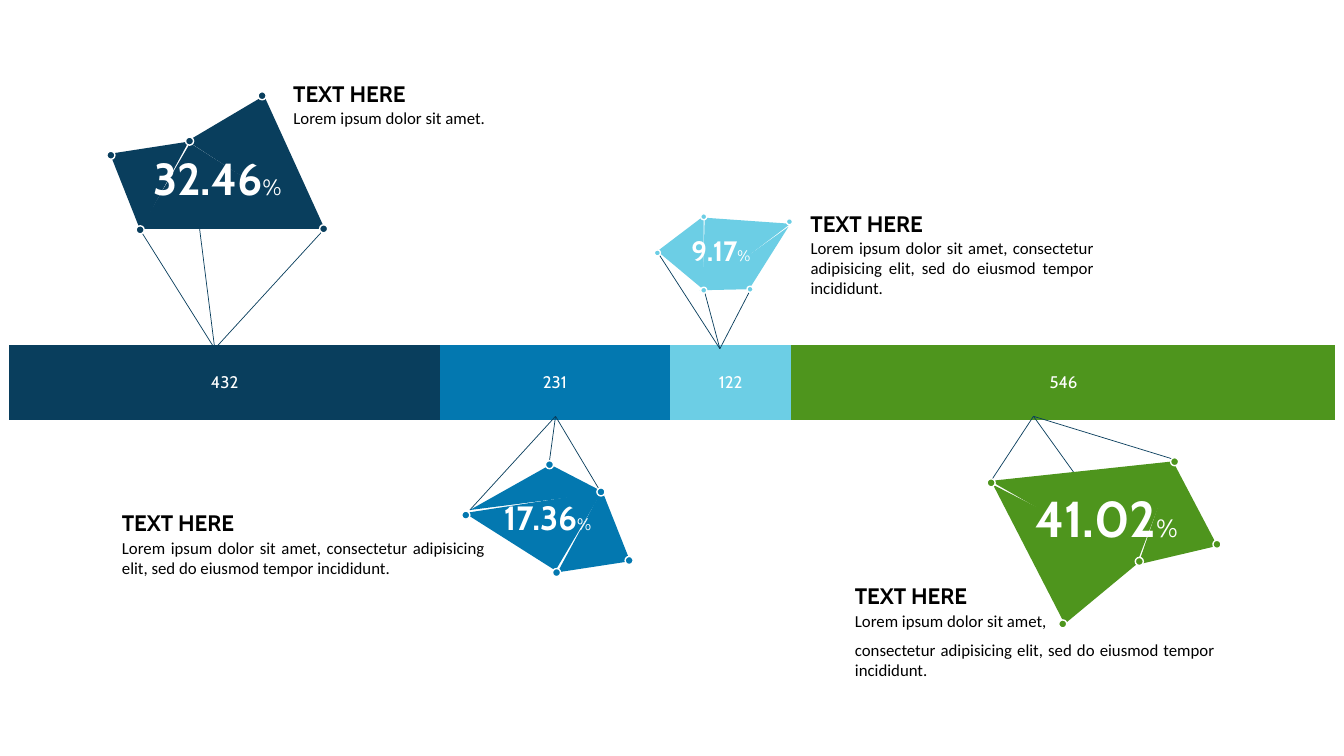
from lxml import etree
from pptx import Presentation
from pptx.chart.data import CategoryChartData
from pptx.dml.color import RGBColor
from pptx.enum.chart import XL_CHART_TYPE, XL_LABEL_POSITION
from pptx.enum.shapes import MSO_CONNECTOR, MSO_SHAPE
from pptx.enum.text import MSO_AUTO_SIZE, PP_ALIGN
from pptx.oxml import parse_xml
from pptx.oxml.ns import nsdecls, qn
from pptx.util import Inches, Pt

STACKED = XL_CHART_TYPE.BAR_STACKED_100
CENTER = XL_LABEL_POSITION.CENTER
TRIANGLE, OVAL = MSO_SHAPE.ISOSCELES_TRIANGLE, MSO_SHAPE.OVAL
STRAIGHT = MSO_CONNECTOR.STRAIGHT
GROW = MSO_AUTO_SIZE.SHAPE_TO_FIT_TEXT
JUSTIFY, LEFT = PP_ALIGN.JUSTIFY, PP_ALIGN.LEFT

NAVY = RGBColor(0x09, 0x3E, 0x5D)
BLUE = RGBColor(0x03, 0x78, 0xB0)
SKY = RGBColor(0x6C, 0xCE, 0xE5)
GREEN = RGBColor(0x4E, 0x95, 0x1D)
WHITE = RGBColor(0xFF, 0xFF, 0xFF)
BLACK = RGBColor(0, 0, 0)

LOREM = "Lorem ipsum dolor sit amet, consectetur adipisicing elit, sed do eiusmod tempor incididunt."

# triangles: left, top, width, height, rotation, apex; facets: corner points
# dots: centres; leads: ends of the lines that start at the anchor on the bar
GEMS = [
    dict(value=432, color=NAVY, dot=0.08, anchor=(2.13, 3.46),
         triangles=[(1.39, 1.42, 1.83, 0.85, 0, 0.271), (1.19, 1.38, 0.82, 0.77, 68.4, 0.214)],
         facets=[[(1.86, 1.4), (2.62, 0.95), (3.23, 2.29)]],
         dots=[(3.21, 2.27), (1.39, 2.28), (1.1, 1.54), (2.6, 0.95), (1.88, 1.4)],
         leads=[(1.39, 2.28), (1.87, 1.4), (3.21, 2.28)],
         share="32.46", sizes=(32, 16), share_box=(1.42, 1.45, 1.6, 0.64),
         title_box=(2.81, 0.75, 1.77, 0.37), body_box=(2.83, 1.03, 3.59, 0.27),
         body=["Lorem ipsum dolor sit amet."]),
    dict(value=231, color=BLUE, dot=0.08, anchor=(5.51, 4.13),
         triangles=[(5.4, 4.99, 0.76, 0.71, 248.4, 0.214)],
         facets=[[(5.97, 4.88), (5.51, 5.66), (4.61, 5.09)],
                 [(6.0, 4.89), (5.46, 4.61), (4.66, 5.06)]],
         dots=[(4.62, 5.11), (5.96, 4.88), (6.24, 5.56), (5.45, 4.61), (5.52, 5.68)],
         leads=[(5.45, 4.57), (4.66, 5.06), (5.94, 4.85)],
         share="17.36", sizes=(24, 12), share_box=(4.9, 4.88, 1.23, 0.5),
         title_box=(1.11, 5, 1.77, 0.37), body_box=(1.13, 5.29, 3.76, 0.48),
         body=[LOREM]),
    dict(value=122, color=SKY, dot=0.06, anchor=(7.14, 3.46),
         triangles=[(6.63, 2.19, 0.6, 0.56, 39.9, 0.214)],
         facets=[[(6.97, 2.88), (6.99, 2.16), (7.84, 2.22)],
                 [(6.94, 2.88), (7.43, 2.87), (7.82, 2.25)]],
         dots=[(7.83, 2.2), (6.98, 2.88), (6.52, 2.51), (7.44, 2.87), (6.98, 2.15)],
         leads=[(6.54, 2.53), (6.99, 2.9), (7.43, 2.9)],
         share="9.17", sizes=(20, 11), share_box=(6.76, 2.27, 0.91, 0.44),
         title_box=(7.94, 2.04, 1.77, 0.37), body_box=(7.96, 2.32, 2.97, 0.68),
         body=[LOREM]),
    dict(value=546, color=GREEN, dot=0.08, anchor=(10.25, 4.13),
         triangles=[(9.87, 4.67, 1.85, 0.98, 173.9, 0.271), (11.04, 4.79, 0.94, 0.78, 242.3, 0.214)],
         facets=[[(11.32, 5.56), (10.56, 6.19), (9.85, 4.81)]],
         dots=[(9.83, 4.79), (11.3, 5.57), (12.07, 5.4), (10.54, 6.19), (11.65, 4.58)],
         leads=[(11.27, 5.55), (9.83, 4.77), (11.62, 4.55)],
         share="41.02", sizes=(36, 18), share_box=(10.17, 4.78, 1.72, 0.71),
         title_box=(8.38, 5.73, 1.64, 0.37), body_box=(8.4, 6.02, 3.73, 0.76),
         body=["Lorem ipsum dolor sit amet,",
               "consectetur adipisicing elit, sed do eiusmod tempor incididunt."]),
]


def paint(shape, color):
    shape.shadow.inherit = False
    shape.fill.solid()
    shape.fill.fore_color.rgb = color
    shape.line.fill.background()


def add_text(s, box, paragraphs, font, color, wrap=True, align=LEFT):
    """Each paragraph is a list of (text, size, bold) runs."""
    tf = s.shapes.add_textbox(*map(Inches, box)).text_frame
    tf.word_wrap = wrap
    tf.auto_size = GROW
    for i, runs in enumerate(paragraphs):
        p = tf.paragraphs[0] if i == 0 else tf.add_paragraph()
        p.alignment = align
        p.font.name, p.font.color.rgb = font, color
        for text, size, bold in runs:
            r = p.add_run()
            r.text = text
            r.font.size, r.font.bold = Pt(size), bold
    return tf


prs = Presentation()
prs.slide_width, prs.slide_height = Inches(13.33), Inches(7.5)
s = prs.slides.add_slide(prs.slide_layouts[6])

# Stacked bar
data = CategoryChartData()
data.categories = ["1"]
for i, gem in enumerate(GEMS, 1):
    data.add_series(f"Series {i}", [gem["value"]])
chart = s.shapes.add_chart(STACKED, Inches(-0.18), Inches(2.81),
                           Inches(13.7), Inches(1.98), data).chart
chart.has_legend = chart.has_title = False
chart.font.name, chart.font.size, chart.font.color.rgb = "Cabin", Pt(10), BLACK
for axis in (chart.category_axis, chart.value_axis):
    axis.has_major_gridlines = False
    axis.visible = False
chart.value_axis.minimum_scale, chart.value_axis.maximum_scale = 0, 1
chart.value_axis.major_unit = 0.25
plot = chart.plots[0]
plot.gap_width, plot.overlap, plot.vary_by_categories = 150, 100, False
for series, gem in zip(plot.series, GEMS):
    series.format.fill.solid()
    series.format.fill.fore_color.rgb = gem["color"]
    labels = series.data_labels
    labels.show_value, labels.position = True, CENTER
    labels.font.name, labels.font.size, labels.font.color.rgb = "Cabin", Pt(12), WHITE

# Plot area stretched across the slide
plot_area = chart.element.find(".//" + qn("c:plotArea"))
for old in plot_area.findall(qn("c:layout")):
    plot_area.remove(old)
layout = parse_xml(f'<c:layout {nsdecls("c")}><c:manualLayout><c:layoutTarget val="inner"/>'
                   '<c:xMode val="edge"/><c:yMode val="edge"/><c:x val="0.02"/><c:y val="0.03"/>'
                   '<c:w val="0.96"/><c:h val="0.94"/></c:manualLayout></c:layout>')
plot_area.insert(0, layout)

for gem in GEMS:
    # Lines from the bar to the gem
    for end in gem["leads"]:
        lead = s.shapes.add_connector(STRAIGHT, *map(Inches, gem["anchor"] + end))
        lead.line.color.rgb, lead.line.width = NAVY, Pt(0.5)
        etree.SubElement(lead._element.spPr, qn("a:effectLst"))

    # Gem: triangles, facets and corner dots
    group = s.shapes.add_group_shape().shapes
    for *box, rotation, apex in gem["triangles"]:
        triangle = group.add_shape(TRIANGLE, *map(Inches, box))
        triangle.adjustments[0] = apex
        triangle.rotation = rotation
        paint(triangle, gem["color"])
    for corners in gem["facets"]:
        start, *rest = [(Inches(x), Inches(y)) for x, y in corners]
        builder = group.build_freeform(*start)
        builder.add_line_segments(rest, close=True)
        paint(builder.convert_to_shape(), gem["color"])
    d = gem["dot"]
    for x, y in gem["dots"]:
        dot = group.add_shape(OVAL, Inches(x - d / 2), Inches(y - d / 2), Inches(d), Inches(d))
        paint(dot, gem["color"])
        dot.line.color.rgb, dot.line.width = WHITE, Pt(1)

    # Share, heading and description
    big, small = gem["sizes"]
    add_text(s, gem["share_box"], [[(gem["share"], big, True), ("%", small, False)]],
             "Cabin", WHITE, wrap=False)
    add_text(s, gem["title_box"], [[("TEXT HERE", 16, True)]], "Cabin", BLACK)
    tf = add_text(s, gem["body_box"], [[(text, 12, False)] for text in gem["body"]],
                  "Calibri", BLACK, align=JUSTIFY)
    tf.margin_left = tf.margin_right = Inches(0.08)
    tf.margin_top = tf.margin_bottom = Inches(0.04)
    for p in tf.paragraphs:
        p.space_after = Pt(6)

prs.save("out.pptx")
